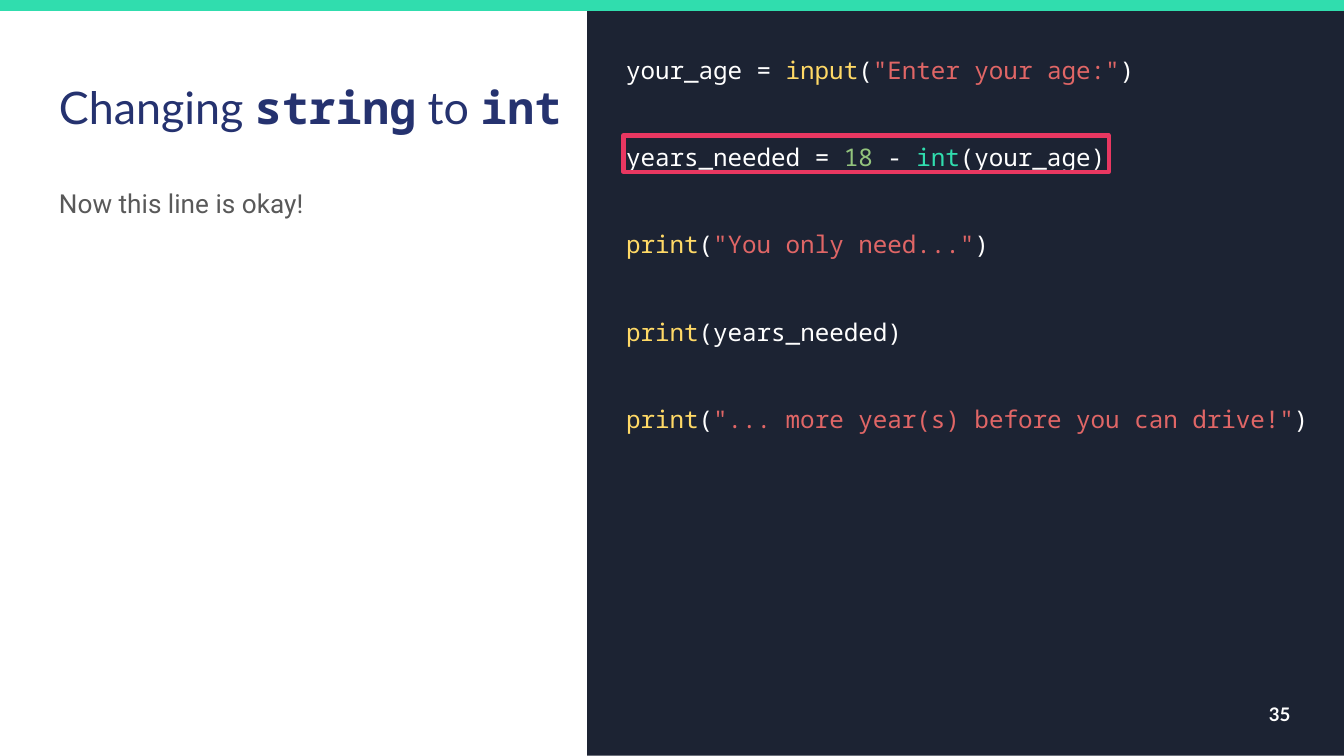
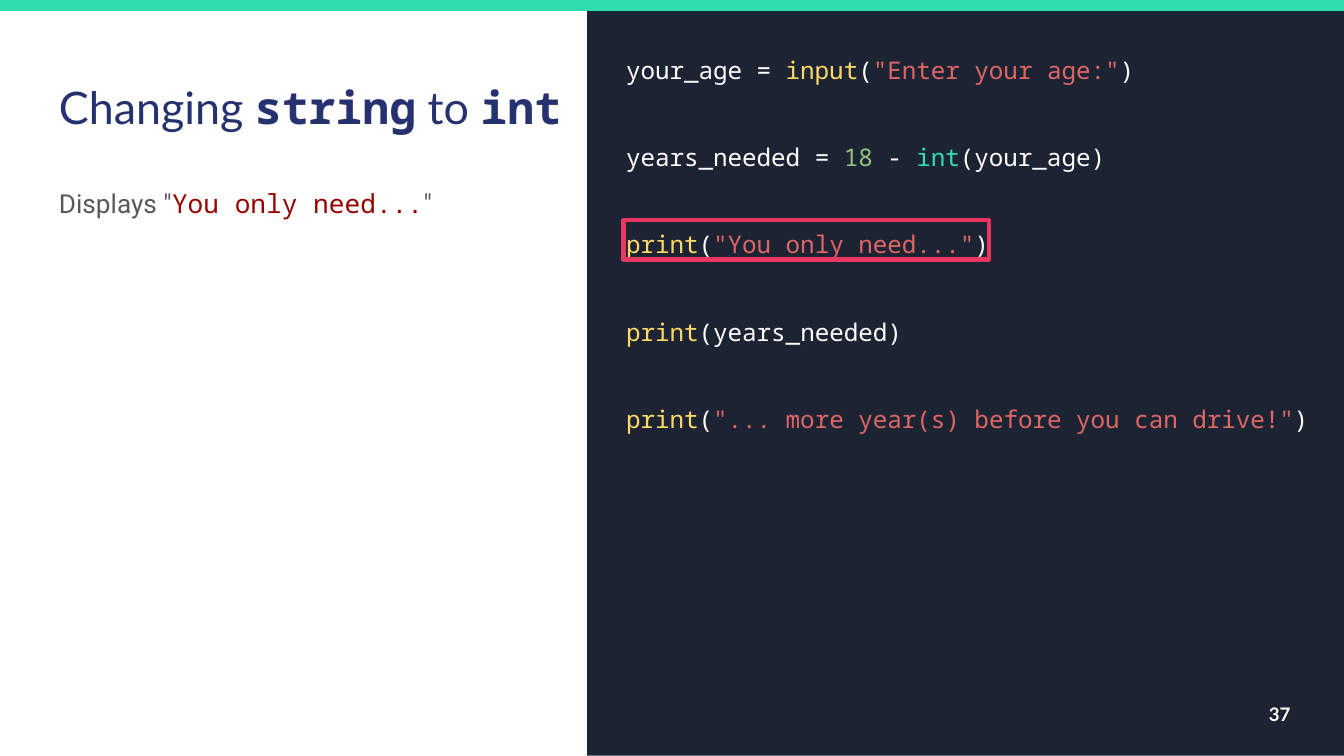
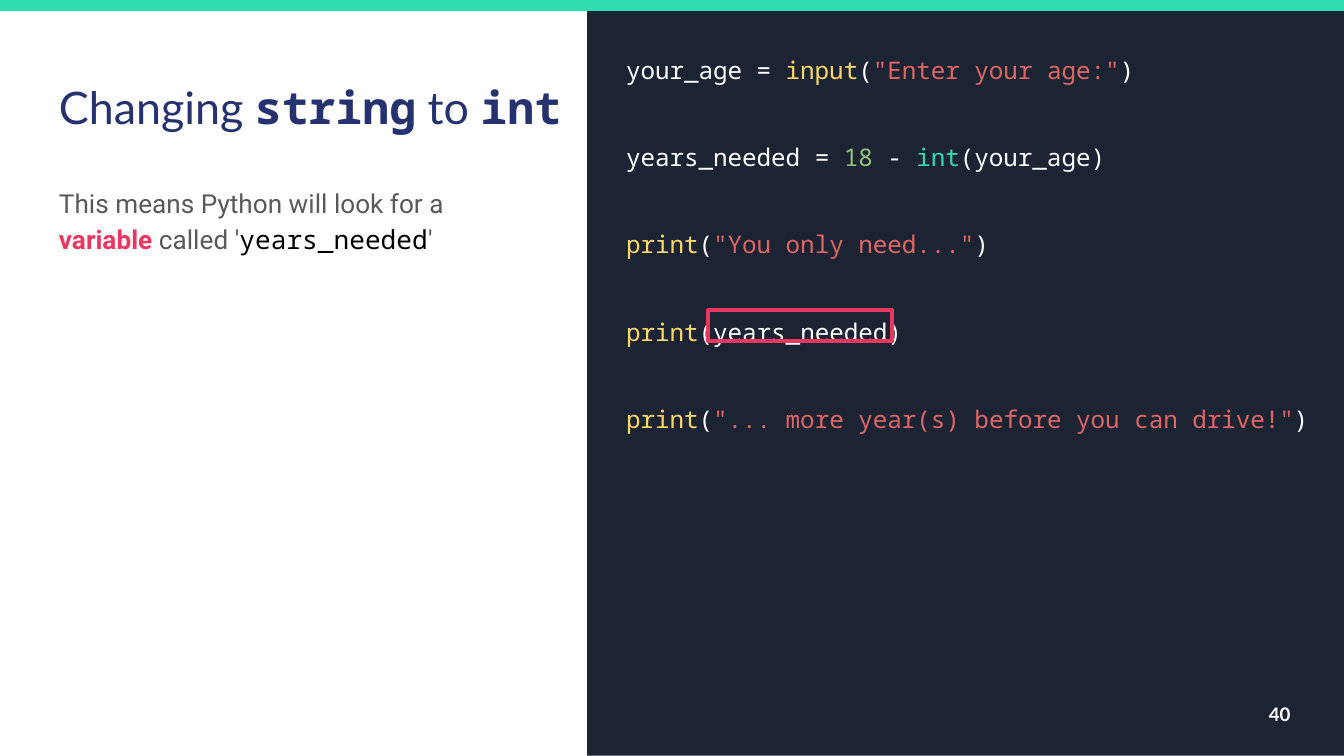
import pptx
import pptx.util
import pptx.dml.color
import pptx.enum.shapes
import pptx.enum.text

Pt = pptx.util.Pt

COLORS = {
    "paper": "FFFFFF", "panel": "1C2333", "band": "30DDAE", "title": "25326F",
    "body": "595959", "accent": "E93761", "quoted": "980000", "variable": "000000",
    "plain": "FFFFFF", "function": "FFD966", "string": "E06666",
    "number": "93C47D", "type": "30DDAE",
}
SANS, TITLE_FONT, MONO = "Roboto", "Lato", "Noto Sans Mono"

# Style name: (font, size, colour, bold)
STYLES = {
    "title": (TITLE_FONT, 24, "title", False),
    "title code": (MONO, 24, "title", True),
    "page number": (TITLE_FONT, 10, "plain", True),
    "body": (SANS, 14, "body", False),
    "keyword": (SANS, 14, "accent", True),
    "quoted": (MONO, 14, "quoted", False),
    "variable": (MONO, 14, "variable", False),
}
for token in ("plain", "function", "string", "number", "type"):
    STYLES[token] = (MONO, 13, token, False)

TITLE = [("Changing ", "title"), ("string", "title code"),
         (" to ", "title"), ("int", "title code")]

CODE = [
    [("your_age = ", "plain"), ("input", "function"), ("(", "plain"),
     ('"Enter your age:"', "string"), (")", "plain")],
    [("years_needed = ", "plain"), ("18 ", "number"), ("- ", "plain"),
     ("int", "type"), ("(your_age)", "plain")],
    [("print", "function"), ("(", "plain"),
     ('"You only need..."', "string"), (")", "plain")],
    [("print", "function"), ("(years_needed)", "plain")],
    [("print", "function"), ("(", "plain"),
     ('"... more year(s) before you can drive!"', "string"), (")", "plain")],
]

# Boxes are left, top, width, height in points
SLIDES = [
    {"number": "35", "highlight": (334, 72.6, 260, 19.5),
     "body": [("Now this line is okay!", "body")]},
    {"number": "37", "highlight": (334, 118, 196, 21),
     "body": [('Displays "', "body"), ("You only need...", "quoted"), ('"', "body")]},
    {"number": "40", "highlight": (379.5, 166.2, 98.6, 16.6),
     "body": [("This means Python will look for a ", "body"), ("variable", "keyword"),
              (" called '", "body"), ("years_needed", "variable"), ("'", "body")]},
]

PANEL_BOX = (314.6, 5.8, 406, 399)
BAND_BOX = (-0.7, 0, 721.4, 5.8)
CODE_BOX = (328.3, 14.4, 391.7, 375)
TITLE_BOX = (24.5, 35.3, 359.3, 45.4)
BODY_BOX = (24.5, 90.7, 267, 299)
NUMBER_BOX = (655.2, 367.2, 43.2, 31)


def color(name):
    return pptx.dml.color.RGBColor.from_string(COLORS[name])


def add_rectangle(page, bounds, fill=None, outline=None):
    kind = pptx.enum.shapes.MSO_SHAPE.RECTANGLE
    shape = page.shapes.add_shape(kind, *map(Pt, bounds))
    shape.shadow.inherit = False
    if fill:
        shape.fill.solid()
        shape.fill.fore_color.rgb = color(fill)
    else:
        shape.fill.background()
    if outline:
        shape.line.color.rgb = color(outline)
        shape.line.width = Pt(2.25)
    else:
        shape.line.fill.background()


def add_text(page, bounds, lines, spacing=1.0, after=0):
    """Add a text box with one paragraph per line of (text, style) spans."""
    box = page.shapes.add_textbox(*map(Pt, bounds))
    frame = box.text_frame
    frame.word_wrap = True
    frame.margin_left = frame.margin_right = Pt(7.2)
    frame.margin_top = frame.margin_bottom = Pt(7.2)
    for index, line in enumerate(lines):
        para = frame.add_paragraph() if index else frame.paragraphs[0]
        para.line_spacing = spacing
        para.space_after = Pt(after)
        for text, style in line:
            span = para.add_run()
            span.text = text
            font, size, shade, bold = STYLES[style]
            span.font.name = font
            span.font.size = Pt(size)
            span.font.color.rgb = color(shade)
            span.font.bold = bold
    return frame


def add_page(deck, content):
    page = deck.slides.add_slide(deck.slide_layouts[6])
    page.background.fill.solid()
    page.background.fill.fore_color.rgb = color("paper")
    add_rectangle(page, PANEL_BOX, fill="panel")
    add_text(page, CODE_BOX, CODE, spacing=1.5, after=23.4)
    add_text(page, TITLE_BOX, [TITLE])
    number = add_text(page, NUMBER_BOX, [[(content["number"], "page number")]])
    number.vertical_anchor = pptx.enum.text.MSO_ANCHOR.MIDDLE
    number.paragraphs[0].alignment = pptx.enum.text.PP_ALIGN.RIGHT
    add_rectangle(page, BAND_BOX, fill="band")
    add_text(page, BODY_BOX, [content["body"]], spacing=1.15, after=16)
    add_rectangle(page, content["highlight"], outline="accent")


def main():
    deck = pptx.Presentation()
    deck.slide_width, deck.slide_height = Pt(720), Pt(405)
    for content in SLIDES:
        add_page(deck, content)
    deck.save("out.pptx")


if __name__ == "__main__":
    main()
